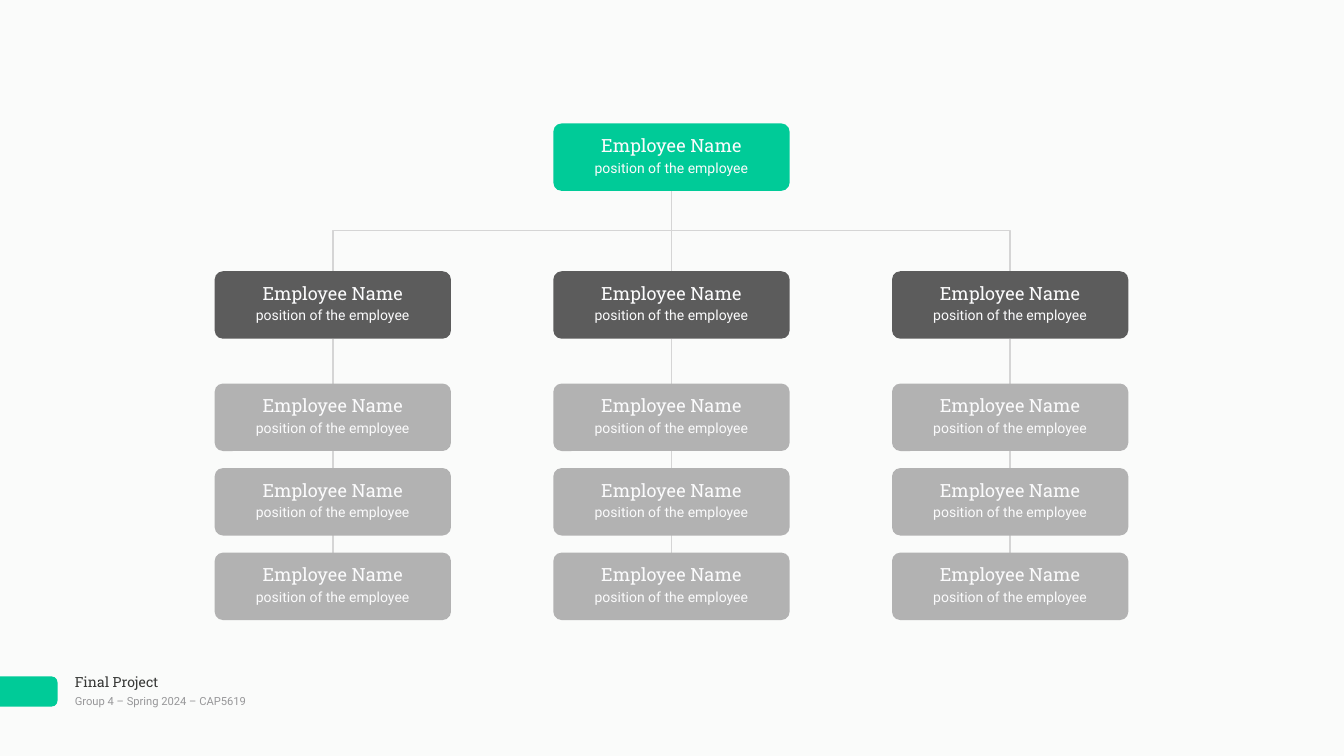
from pptx import Presentation
from pptx.dml.color import RGBColor
from pptx.enum.shapes import MSO_CONNECTOR, MSO_SHAPE
from pptx.enum.text import MSO_ANCHOR, MSO_AUTO_SIZE, PP_ALIGN
from pptx.oxml.ns import qn
from pptx.util import Cm, Pt

COLORS = {
    "background": "FAFBFA", "green": "00CB98", "dark": "5C5C5C",
    "gray": "B2B2B2", "line": "D5D5D5", "white": "FBFBFC",
    "title": "383937", "subtitle": "979799",
}
HEADING, BODY = "Roboto Slab", "Roboto"
CARD_W, CARD_H = 11.91, 3.4
COLUMNS = [10.82 + 17.07 * i for i in range(3)]
ROOT_Y, BRACKET_Y, MANAGER_Y = 6.22, 11.61, 13.67
STAFF_YS = [19.33 + 4.26 * i for i in range(3)]


def rgb(name):
    return RGBColor.from_string(COLORS[name])


def add_text(s, text, x, y, w, h, size=20, font=BODY, color="white",
             align=PP_ALIGN.LEFT, anchor=MSO_ANCHOR.TOP):
    tf = s.shapes.add_textbox(Cm(x), Cm(y), Cm(w), Cm(h)).text_frame
    tf.word_wrap = True
    tf.auto_size = MSO_AUTO_SIZE.SHAPE_TO_FIT_TEXT
    tf.vertical_anchor = anchor
    tf.margin_left = tf.margin_right = tf.margin_top = tf.margin_bottom = Cm(0.16)
    p = tf.paragraphs[0]
    p.alignment = align
    r = p.add_run()
    r.text = text
    r.font.name, r.font.size = font, Pt(size)
    r.font.color.rgb = rgb(color)


def add_block(s, kind, x, y, w, h, color, radius):
    sp = s.shapes.add_shape(kind, Cm(x), Cm(y), Cm(w), Cm(h))
    sp.adjustments[0] = radius
    sp.shadow.inherit = False
    sp.fill.solid()
    sp.fill.fore_color.rgb = rgb(color)
    sp.line.fill.background()
    return sp


def add_card(s, x, y, color):
    card = add_block(s, MSO_SHAPE.ROUNDED_RECTANGLE, x, y, CARD_W, CARD_H, color, 0.123)
    add_text(s, "Employee Name", x + 1.43, y + 0.39, 9.04, 1.47,
             size=26, font=HEADING, align=PP_ALIGN.CENTER)
    add_text(s, "position of the employee", x + 1.43, y + 1.64, 9.04, 1.12,
             align=PP_ALIGN.CENTER)
    return card


def style_line(sp):
    sp.line.color.rgb = rgb("line")
    sp.line.width = Pt(2)


def add_line(s):
    """Add a connector that is placed later, when it is joined to its cards."""
    line = s.shapes.add_connector(MSO_CONNECTOR.STRAIGHT, 0, 0, 0, 0)
    style_line(line)
    sp_pr = line._element.spPr
    sp_pr.append(sp_pr.makeelement(qn("a:effectLst"), {}))
    return line


def join(line, upper, lower):
    line.begin_connect(upper, 2)
    line.end_connect(lower, 0)


def add_bracket(s):
    """Draw the open line that links the outer managers."""
    left, right = (Cm(x + CARD_W / 2) for x in (COLUMNS[0], COLUMNS[-1]))
    bar_y, end_y = Cm(BRACKET_Y), Cm(MANAGER_Y)
    builder = s.shapes.build_freeform(left, end_y)
    builder.add_line_segments([(left, bar_y), (right, bar_y), (right, end_y)], close=False)
    sp = builder.convert_to_shape()
    sp.shadow.inherit = False
    sp.fill.background()
    style_line(sp)


def add_column(s, x):
    line = add_line(s)
    manager = add_card(s, x, MANAGER_Y, "dark")
    staff = [add_card(s, x, y, "gray") for y in STAFF_YS]
    join(line, manager, staff[-1])
    return manager


def add_footer(s):
    add_text(s, "Final Project", 3.61, 33.78, 8.1, 1.14, font=HEADING, color="title")
    add_text(s, "Group 4 – Spring 2024 – CAP5619", 3.61, 34.87, 11.99, 0.97,
             size=16, color="subtitle", anchor=MSO_ANCHOR.MIDDLE)
    tab = add_block(s, MSO_SHAPE.ROUND_2_SAME_RECTANGLE, 0.69, 33.4, 1.52, 2.9, "green", 0.2)
    tab.rotation = 90


def main():
    prs = Presentation()
    prs.slide_width, prs.slide_height = Cm(67.74), Cm(38.1)
    s = prs.slides.add_slide(prs.slide_layouts[6])
    s.background.fill.solid()
    s.background.fill.fore_color.rgb = rgb("background")

    add_footer(s)
    add_bracket(s)
    trunk = add_line(s)
    root = add_card(s, COLUMNS[1], ROOT_Y, "green")
    managers = [add_column(s, x) for x in COLUMNS]
    join(trunk, root, managers[1])
    prs.save("out.pptx")


if __name__ == "__main__":
    main()
